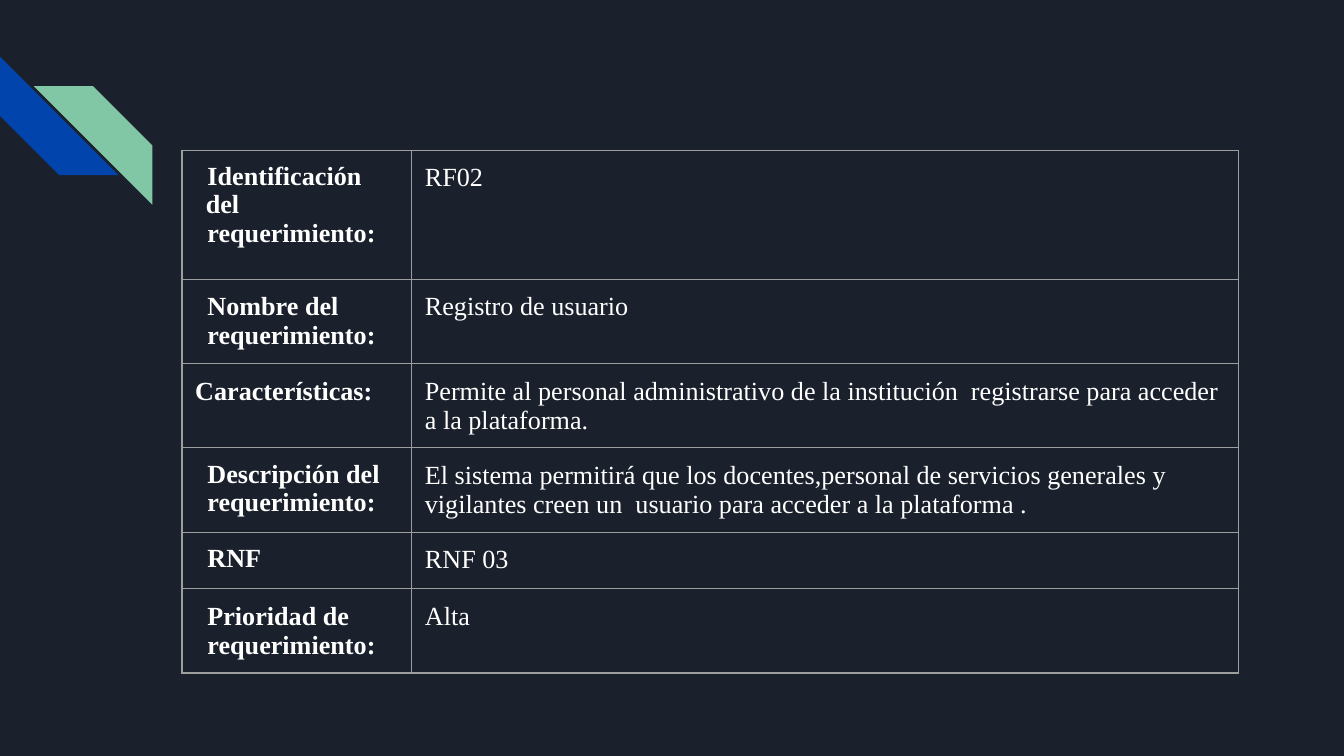
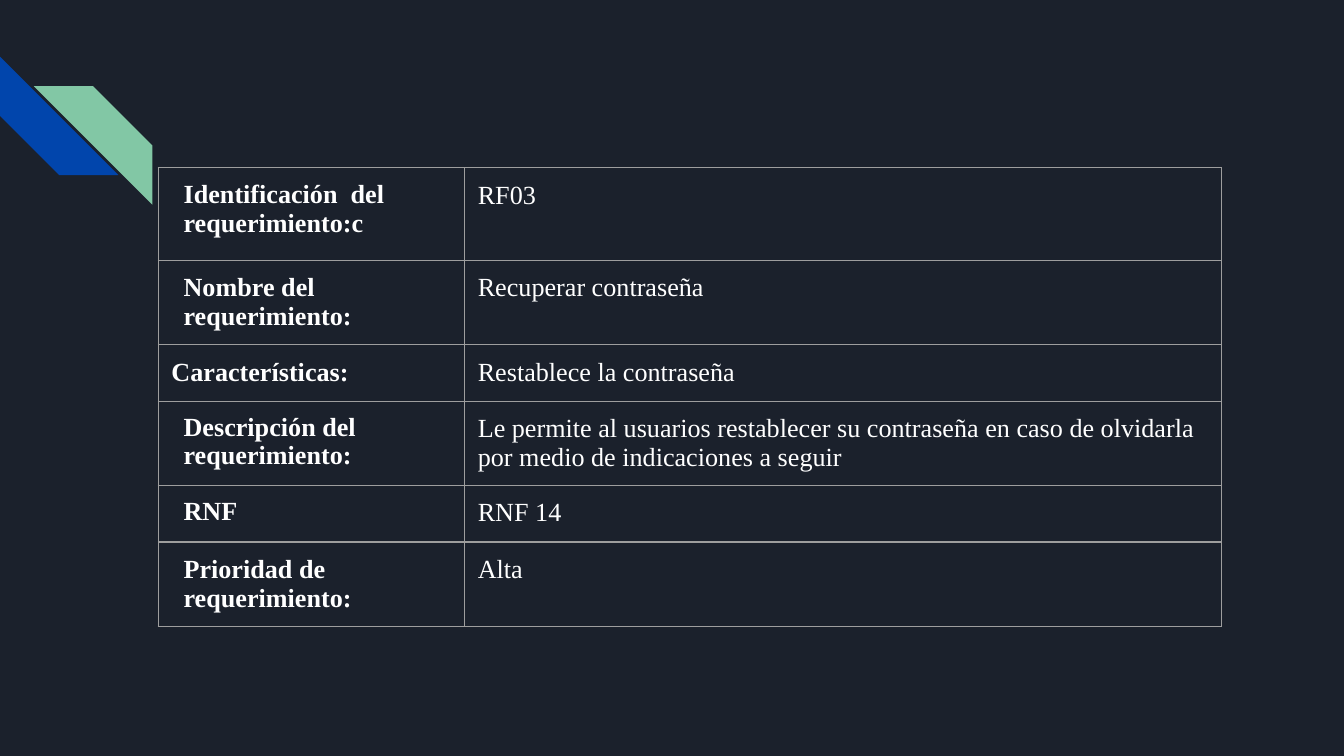
from lxml import etree
from pptx import Presentation
from pptx import util as u
from pptx.dml.color import RGBColor
from pptx.enum import shapes
from pptx.oxml.ns import qn

COLORS = {
    "background": "1B212C",
    "blue": "0145AC",
    "green": "82C7A5",
    "border": "9E9E9E",
    "text": "FFFFFF",
}
FONT = "Times New Roman"
STRIPE_SIZE = u.Cm(2.24)
CELL_MARGIN = u.Cm(0.25)
INDENT = u.Cm(0.23)
ROW_HEIGHT = 1.07
TIGHT = 0.96


def color(name):
    return RGBColor.from_string(COLORS[name])


def format_text(paragraph, content, bold=False, left=0, first=0, line_spacing=None, space_before=None):
    run = paragraph.add_run()
    run.text = content
    run.font.name = FONT
    run.font.size = u.Pt(14)
    run.font.bold = bold
    run.font.color.rgb = color("text")
    if line_spacing:
        paragraph.line_spacing = line_spacing
    if space_before:
        paragraph.space_before = u.Pt(space_before)
    properties = paragraph._p.get_or_add_pPr()
    properties.set("marL", str(int(left)))
    properties.set("indent", str(int(first)))


def add_stripe(slide, left, top, rotation, fill):
    shape = slide.shapes.add_shape(
        shapes.MSO_SHAPE.DIAGONAL_STRIPE, u.Cm(left), u.Cm(top), STRIPE_SIZE, STRIPE_SIZE
    )
    shape.adjustments[0] = 0.5
    shape.rotation = rotation
    shape.shadow.inherit = False
    shape.fill.solid()
    shape.fill.fore_color.rgb = color(fill)
    shape.line.fill.background()


def add_borders(cell):
    properties = cell._tc.get_or_add_tcPr()
    for side in ("a:lnL", "a:lnR", "a:lnT", "a:lnB"):
        line = etree.SubElement(properties, qn(side), w=str(u.Pt(0.75)))
        fill = etree.SubElement(line, qn("a:solidFill"))
        etree.SubElement(fill, qn("a:srgbClr"), val=COLORS["border"])


def fill_cell(cell, paragraphs):
    cell.margin_left = cell.margin_right = CELL_MARGIN
    cell.margin_top = cell.margin_bottom = CELL_MARGIN
    add_borders(cell)
    cell.fill.background()
    frame = cell.text_frame
    for index, (content, style) in enumerate(paragraphs):
        paragraph = frame.add_paragraph() if index else frame.paragraphs[0]
        format_text(paragraph, content, **style)


def requirement_labels(identification_end):
    label = {"bold": True, "left": INDENT}
    tight = {**label, "line_spacing": TIGHT}
    return [
        [
            ("Identificación  del", {**tight, "left": u.Cm(0.2), "first": u.Cm(0.03)}),
            (identification_end, {**label, "space_before": 0.3}),
        ],
        [("Nombre del", label), ("requerimiento:", label)],
        [("Características:", {"bold": True})],
        [("Descripción del  requerimiento:", tight)],
        [("RNF", tight)],
        [("Prioridad de", label), ("requerimiento:", label)],
    ]


def add_requirement_table(slide, left, top, widths, first_height, identification_end, values):
    labels = requirement_labels(identification_end)
    heights = [first_height] + [ROW_HEIGHT] * (len(labels) - 1)
    table = slide.shapes.add_table(
        len(labels), 2, u.Cm(left), u.Cm(top), u.Cm(sum(widths)), u.Cm(sum(heights))
    ).table
    table.first_row = False
    table.horz_banding = False
    for column, width in zip(table.columns, widths):
        column.width = u.Cm(width)
    for row, height, label, value in zip(table.rows, heights, labels, values):
        row.height = u.Cm(height)
        fill_cell(row.cells[0], label)
        fill_cell(row.cells[1], [(value, {})])


def add_requirement_slide(presentation, **table):
    slide = presentation.slides.add_slide(presentation.slide_layouts[6])
    add_stripe(slide, 0, 1.07, 270, "blue")
    add_stripe(slide, 0.64, 1.63, 90, "green")
    add_requirement_table(slide, **table)


def main():
    presentation = Presentation()
    presentation.slide_width = u.Cm(25.4)
    presentation.slide_height = u.Cm(14.29)
    background = presentation.slide_master.background.fill
    background.solid()
    background.fore_color.rgb = color("background")

    add_requirement_slide(
        presentation,
        left=3.44,
        top=2.84,
        widths=[4.34, 15.62],
        first_height=2.44,
        identification_end="requerimiento:",
        values=[
            "RF02",
            "Registro de usuario",
            "Permite al personal administrativo de la institución  registrarse para acceder a la plataforma.",
            "El sistema permitirá que los docentes,personal de servicios generales y vigilantes "
            "creen un  usuario para acceder a la plataforma .",
            "RNF 03",
            "Alta",
        ],
    )
    add_requirement_slide(
        presentation,
        left=2.99,
        top=3.17,
        widths=[5.79, 14.31],
        first_height=1.75,
        identification_end="requerimiento:c",
        values=[
            "RF03",
            "Recuperar contraseña",
            "Restablece la contraseña",
            "Le permite al usuarios restablecer su contraseña en caso de olvidarla "
            "por medio de indicaciones a seguir",
            "RNF 14",
            "Alta",
        ],
    )
    presentation.save("out.pptx")


if __name__ == "__main__":
    main()
